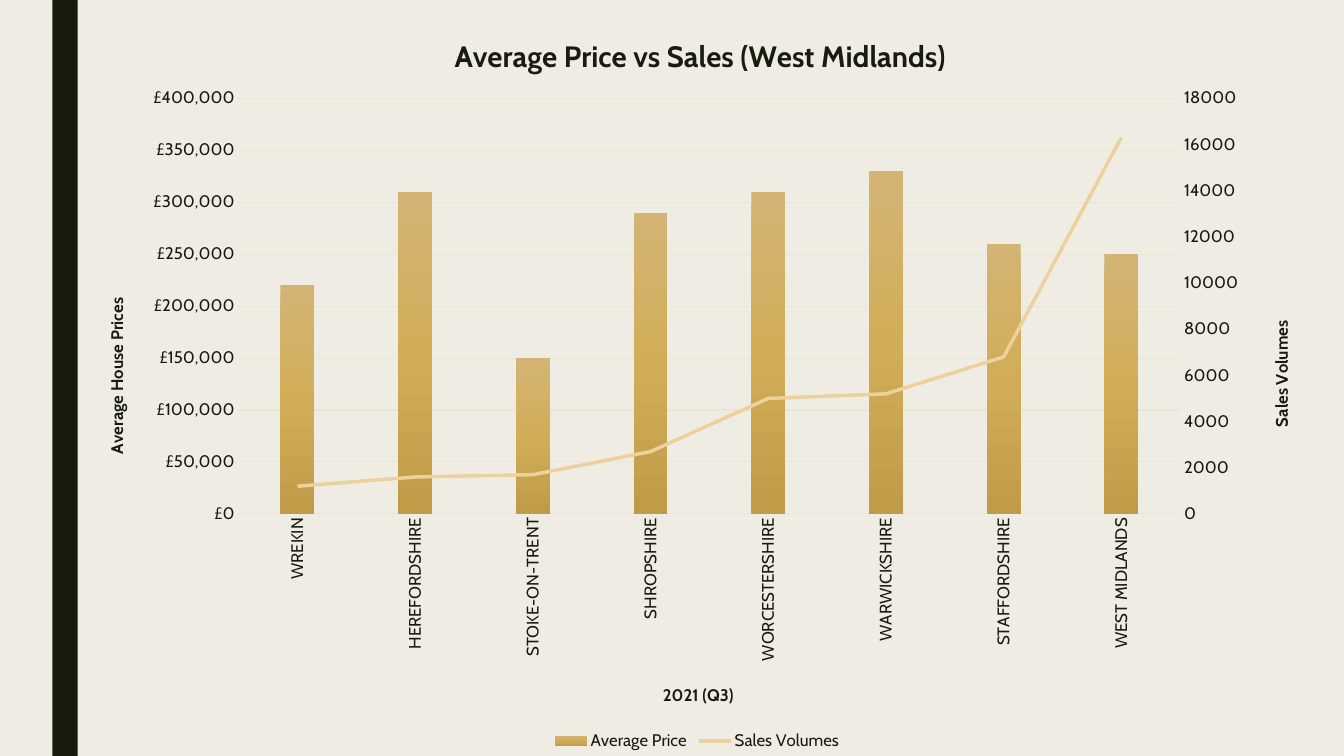
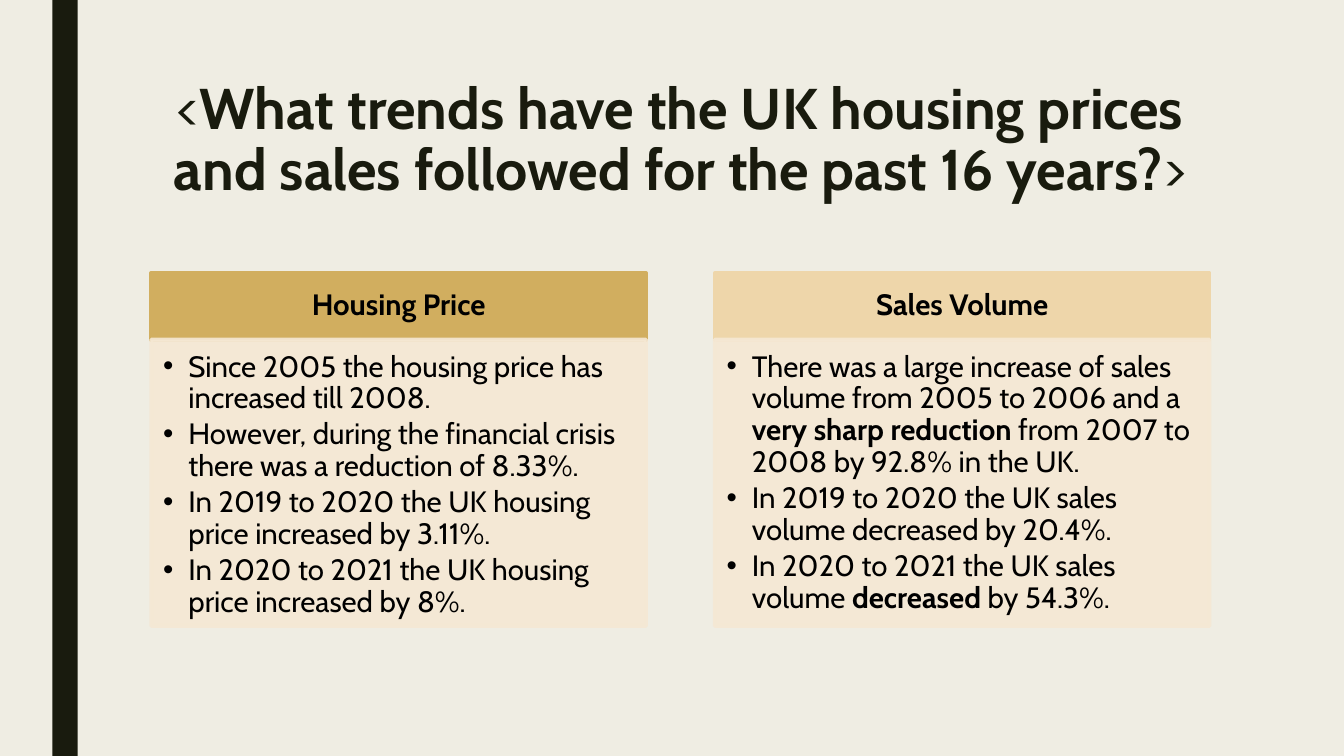
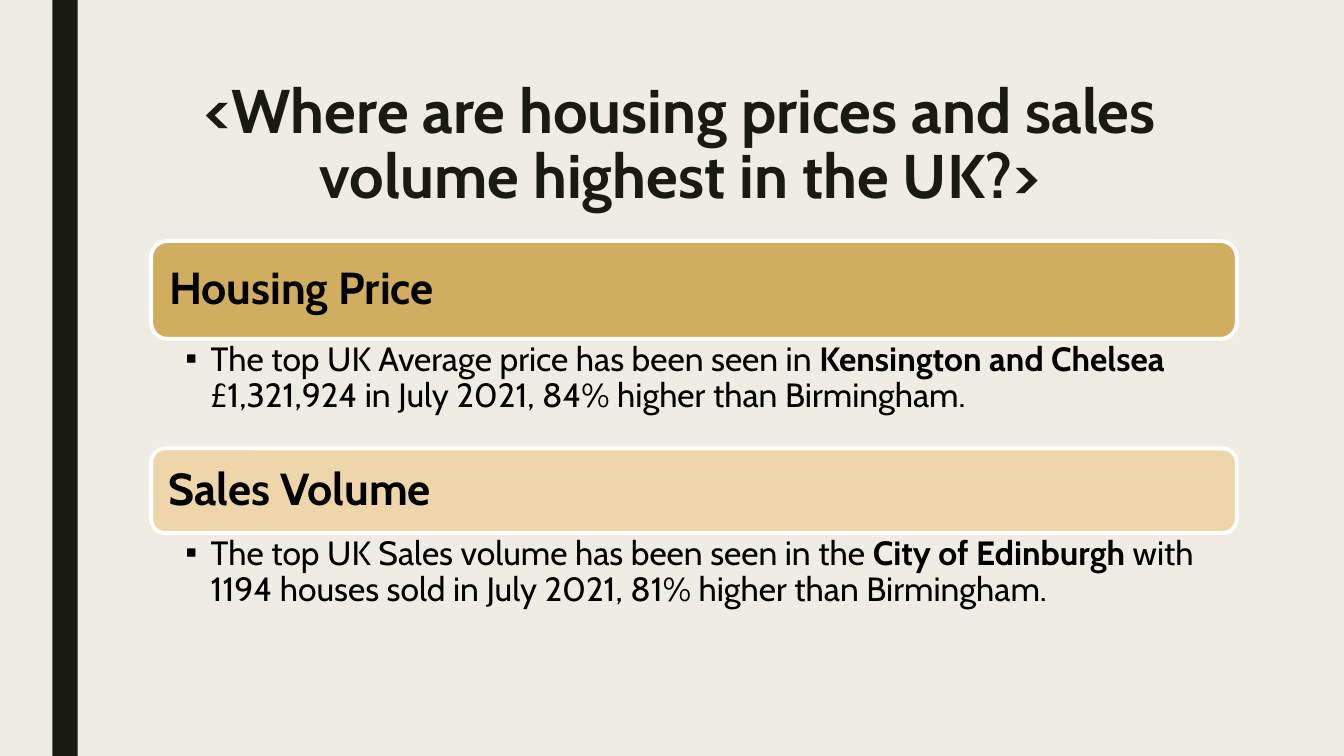
"""Build three slides on UK housing prices and sales volumes."""
from copy import deepcopy
from dataclasses import dataclass
from typing import NamedTuple

from lxml.etree import SubElement
from pptx import Presentation
from pptx.chart.axis import ValueAxis
from pptx.chart.data import CategoryChartData
from pptx.dml.color import RGBColor
from pptx.enum.chart import XL_CHART_TYPE, XL_LEGEND_POSITION, XL_MARKER_STYLE, XL_TICK_MARK
from pptx.enum.shapes import MSO_SHAPE
from pptx.enum.text import MSO_ANCHOR, PP_ALIGN
from pptx.oxml.ns import qn
from pptx.util import Pt

FONT = "Cabin"
PAPER, INK, BLACK, WHITE = "EFEDE3", "191B0E", "000000", "FFFFFF"
GOLD, SAND, CREAM, GRID = "D1AE5F", "EED6AA", "F5E8D4", "E4E7D1"
LINE_GOLD = "ECD19D"
BAR_STOPS = ((0, "D3B474"), (50, "D2AD58"), (100, "C19C48"))
LEFT = 108
CATEGORIES = ("WREKIN", "HEREFORDSHIRE", "STOKE-ON-TRENT", "SHROPSHIRE",
              "WORCESTERSHIRE", "WARWICKSHIRE", "STAFFORDSHIRE", "WEST MIDLANDS")
PRICES = (220000, 310000, 150000, 290000, 310000, 330000, 260000, 250000)
SALES = (1200, 1600, 1700, 2700, 5000, 5200, 6800, 16300)


class Box(NamedTuple):
    left: float
    top: float
    width: float
    height: float


class Run(NamedTuple):
    text: str
    bold: bool = False


@dataclass(frozen=True)
class TextStyle:
    size: float
    color: str = BLACK
    align: PP_ALIGN = PP_ALIGN.LEFT
    anchor: MSO_ANCHOR = MSO_ANCHOR.TOP
    insets: tuple[float, float, float, float] = (7.2, 3.6, 7.2, 3.6)
    line_spacing: float = 0.9
    space_after: float = 0
    bullet: str = ""


@dataclass(frozen=True)
class Topic:
    heading: str
    color: str
    paragraphs: tuple[tuple[Run, ...], ...]


COLUMN_HEADING = TextStyle(21, align=PP_ALIGN.CENTER, anchor=MSO_ANCHOR.MIDDLE,
                           insets=(11.5, 6.5, 11.5, 6.5))
COLUMN_BODY = TextStyle(21, insets=(8.6, 8.6, 11.5, 13), space_after=3.2, bullet="•")
ROW_HEADING = TextStyle(32, anchor=MSO_ANCHOR.MIDDLE, insets=(9.4, 9.4, 9.4, 9.4))
ROW_BODY = TextStyle(24, insets=(24.5, 2.2, 13.7, 2.2), bullet="▪")

TRENDS = (
    Topic("Housing Price", GOLD, (
        (Run("Since 2005 the housing price has increased till 2008."),),
        (Run("However, during the financial crisis there was a reduction of 8.33%."),),
        (Run("In 2019 to 2020 the UK housing price increased by 3.11%."),),
        (Run("In 2020 to 2021 the UK housing price increased by 8%."),),
    )),
    Topic("Sales Volume", SAND, (
        (Run("There was a large increase of sales volume from 2005 to 2006 and a "),
         Run("very sharp reduction ", True),
         Run("from 2007 to 2008 by 92.8% in the UK.")),
        (Run("In 2019 to 2020 the UK sales volume decreased by 20.4%."),),
        (Run("In 2020 to 2021 the UK sales volume "), Run("decreased", True),
         Run(" by 54.3%.")),
    )),
)
HIGHEST = (
    Topic("Housing Price", GOLD, ((
        Run("The top UK Average price has been seen in "),
        Run("Kensington and Chelsea ", True),
        Run("£1,321,924 in July 2021, 84% higher than Birmingham.")),)),
    Topic("Sales Volume", SAND, ((
        Run("The top UK Sales volume has been seen in the "),
        Run("City of Edinburgh", True),
        Run(" with 1194 houses sold in July 2021, 81% higher than Birmingham.")),)),
)


def rgb(color: str) -> RGBColor:
    return RGBColor.from_string(color)


def points(box: Box) -> tuple:
    return tuple(Pt(length) for length in box)


def style_font(font, size: float, color: str, bold: bool = False) -> None:
    font.name, font.size, font.bold = FONT, Pt(size), bold
    font.color.rgb = rgb(color)


def write(shape, paragraphs, style: TextStyle) -> None:
    frame = shape.text_frame
    frame.word_wrap = True
    frame.vertical_anchor = style.anchor
    (frame.margin_left, frame.margin_top,
     frame.margin_right, frame.margin_bottom) = (Pt(inset) for inset in style.insets)
    for index, runs in enumerate(paragraphs):
        paragraph = frame.add_paragraph() if index else frame.paragraphs[0]
        paragraph.alignment = style.align
        paragraph.line_spacing = style.line_spacing
        paragraph.space_after = Pt(style.space_after)
        if style.bullet:
            properties = paragraph._p.get_or_add_pPr()
            properties.set("marL", str(Pt(18)))
            properties.set("indent", str(Pt(-18)))
            SubElement(properties, qn("a:buFont")).set("typeface", "Arial")
            SubElement(properties, qn("a:buChar")).set("char", style.bullet)
        for part in runs:
            run = paragraph.add_run()
            run.text = part.text
            style_font(run.font, style.size, style.color, part.bold)


def add_box(slide, box: Box, fill: str, line: str = "",
            kind: MSO_SHAPE = MSO_SHAPE.RECTANGLE, opacity: int = 100):
    shape = slide.shapes.add_shape(kind, *points(box))
    shape.shadow.inherit = False
    shape.fill.solid()
    shape.fill.fore_color.rgb = rgb(fill)
    if line:
        shape.line.color.rgb = rgb(line)
        shape.line.width = Pt(2.75)
    else:
        shape.line.fill.background()
    if opacity < 100:
        for color in shape._element.spPr.iter(qn("a:srgbClr")):
            SubElement(color, qn("a:alpha")).set("val", str(opacity * 1000))
    return shape


def add_slide(presentation):
    slide = presentation.slides.add_slide(presentation.slide_layouts[6])
    add_box(slide, Box(37.4, 0, 18, 540), INK)
    return slide


def add_title(slide, runs: tuple[Run, ...], size: float) -> None:
    title = slide.shapes.add_textbox(*points(Box(LEFT, 54, 756, 116.6)))
    write(title, (runs,), TextStyle(size, INK, PP_ALIGN.CENTER, line_spacing=0.89))


def place(element, index: int, **fractions: float) -> None:
    layout = element.find(qn("c:layout"))
    if layout is None:
        layout = SubElement(element, qn("c:layout"))
        element.insert(index, layout)
    manual = SubElement(layout, qn("c:manualLayout"))
    if index == 0:
        SubElement(manual, qn("c:layoutTarget")).set("val", "inner")
    for name in ("xMode", "yMode"):
        SubElement(manual, qn(f"c:{name}")).set("val", "edge")
    for name, value in fractions.items():
        SubElement(manual, qn(f"c:{name}")).set("val", str(value))


def write_chart_title(title, text: str, size: float = 12, upright: bool = False) -> None:
    frame = title.text_frame
    frame.clear()
    run = frame.paragraphs[0].add_run()
    run.text = text
    style_font(run.font, size, INK, True)
    if upright:
        frame._txBody.find(qn("a:bodyPr")).set("rot", "-5400000")


def format_value_axis(axis, title: str, maximum: int, step: int, number_format: str) -> None:
    axis.minimum_scale, axis.maximum_scale, axis.major_unit = 0, maximum, step
    axis.major_tick_mark = axis.minor_tick_mark = XL_TICK_MARK.NONE
    axis.format.line.fill.background()
    axis.tick_labels.number_format = number_format
    axis.tick_labels.number_format_is_linked = False
    style_font(axis.tick_labels.font, 12, INK)
    write_chart_title(axis.axis_title, title, upright=True)


def fill_bars(series) -> None:
    series.format.fill.gradient()
    gradient = series._element.spPr.find(qn("a:gradFill"))
    for child in list(gradient):
        gradient.remove(child)
    stops = SubElement(gradient, qn("a:gsLst"))
    for position, color in BAR_STOPS:
        stop = SubElement(stops, qn("a:gs"))
        stop.set("pos", str(position * 1000))
        SubElement(stop, qn("a:srgbClr")).set("val", color)
    SubElement(gradient, qn("a:lin")).set("ang", "5400000")


def move_to_right_axis(chart, series) -> ValueAxis:
    category, value = chart.category_axis._element, chart.value_axis._element
    line_chart = SubElement(category.getparent(), qn("c:lineChart"))
    chart.plots[0]._element.addnext(line_chart)
    SubElement(line_chart, qn("c:grouping")).set("val", "standard")
    SubElement(line_chart, qn("c:varyColors")).set("val", "0")
    element = series._element
    for flag in element.findall(qn("c:invertIfNegative")):
        element.remove(flag)
    line_chart.append(element)
    SubElement(line_chart, qn("c:marker")).set("val", "1")
    right_category, right_value = deepcopy(category), deepcopy(value)
    for axis, own, other in ((right_category, "5001", "5002"),
                             (right_value, "5002", "5001")):
        axis.find(qn("c:axId")).set("val", own)
        axis.find(qn("c:crossAx")).set("val", other)
        SubElement(line_chart, qn("c:axId")).set("val", own)
    right_category.remove(right_category.find(qn("c:title")))
    right_category.find(qn("c:delete")).set("val", "1")
    right_value.find(qn("c:axPos")).set("val", "r")
    right_value.find(qn("c:crosses")).set("val", "max")
    value.addnext(right_value)
    right_value.addnext(right_category)
    return ValueAxis(right_value)


def build_chart_slide(presentation) -> None:
    slide = add_slide(presentation)
    data = CategoryChartData()
    data.categories = CATEGORIES
    data.add_series("Average Price", PRICES)
    data.add_series("Sales Volumes", SALES)
    chart = slide.shapes.add_chart(
        XL_CHART_TYPE.COLUMN_CLUSTERED, *points(Box(55.4, 0, 885, 540)), data).chart
    style_font(chart.font, 12, INK)
    chart.has_title = True
    write_chart_title(chart.chart_title, "Average Price vs Sales (West Midlands)", 21)
    chart.has_legend = True
    chart.legend.position = XL_LEGEND_POSITION.BOTTOM
    chart.legend.include_in_layout = False
    style_font(chart.legend.font, 12, INK)

    bars = chart.plots[0]
    bars.gap_width, bars.overlap, bars.vary_by_categories = 247, -27, False
    prices, sales = bars.series
    fill_bars(prices)

    category = chart.category_axis
    category.major_tick_mark = category.minor_tick_mark = XL_TICK_MARK.NONE
    category.format.line.color.rgb = rgb(GRID)
    category.format.line.width = Pt(0.75)
    style_font(category.tick_labels.font, 12, INK)
    labels = category._element.find(qn("c:txPr"))
    labels.find(qn("a:bodyPr")).set("rot", "-5400000")
    write_chart_title(category.axis_title, "2021 (Q3)")

    left = chart.value_axis
    format_value_axis(left, "Average House Prices", 400000, 50000, '"£"#,##0')
    left.has_major_gridlines = True
    left.major_gridlines.format.line.color.rgb = rgb(GRID)
    left.major_gridlines.format.line.width = Pt(0.75)

    right = move_to_right_axis(chart, sales)
    right.has_major_gridlines = False
    format_value_axis(right, "Sales Volumes", 18000, 2000, "General")
    volumes = chart.plots[1].series[0]
    volumes.smooth = False
    volumes.marker.style = XL_MARKER_STYLE.NONE
    volumes.format.line.color.rgb = rgb(LINE_GOLD)
    volumes.format.line.width = Pt(2.5)

    place(category._element.getparent(), 0, x=0.13, y=0.13, w=0.76, h=0.55)
    place(chart.legend._element, 1, x=0.38, y=0.96, w=0.24, h=0.04)
    for title, x, y in ((chart.chart_title, 0.3, 0.04), (category.axis_title, 0.47, 0.9),
                        (left.axis_title, 0.02, 0.39), (right.axis_title, 0.96, 0.42)):
        place(title._element, 1, x=x, y=y)


def build_trends_slide(presentation) -> None:
    slide = add_slide(presentation)
    add_title(slide, (
        Run("<"),
        Run("What trends have the UK housing prices and sales followed for the past 16 years?",
            True),
        Run(">")), 41)
    width, pitch = 353.5, 402.5
    for index, topic in enumerate(TRENDS):
        left = LEFT + index * pitch
        heading = add_box(slide, Box(left, 195.1, width, 47.5), topic.color, topic.color)
        write(heading, ((Run(topic.heading, True),),), COLUMN_HEADING)
        body = add_box(slide, Box(left, 242.6, width, 204.5), CREAM, CREAM, opacity=90)
        write(body, topic.paragraphs, COLUMN_BODY)


def build_highest_slide(presentation) -> None:
    slide = add_slide(presentation)
    add_title(slide, (
        Run("<Where are housing prices and sales volume highest in the UK?>", True),), 44)
    width, body_height, top = 775.4, 78.2, 172.1
    for topic, heading_height in zip(HIGHEST, (70, 60.5)):
        heading = add_box(slide, Box(LEFT, top, width, heading_height), topic.color, WHITE,
                          MSO_SHAPE.ROUNDED_RECTANGLE)
        write(heading, ((Run(topic.heading, True),),), ROW_HEADING)
        top += heading_height
        body = slide.shapes.add_textbox(*points(Box(LEFT, top, width, body_height)))
        write(body, topic.paragraphs, ROW_BODY)
        top += body_height


def main() -> None:
    presentation = Presentation()
    presentation.slide_width, presentation.slide_height = Pt(960), Pt(540)
    background = presentation.slide_master.background.fill
    background.solid()
    background.fore_color.rgb = rgb(PAPER)
    build_chart_slide(presentation)
    build_trends_slide(presentation)
    build_highest_slide(presentation)
    presentation.save("out.pptx")


if __name__ == "__main__":
    main()
